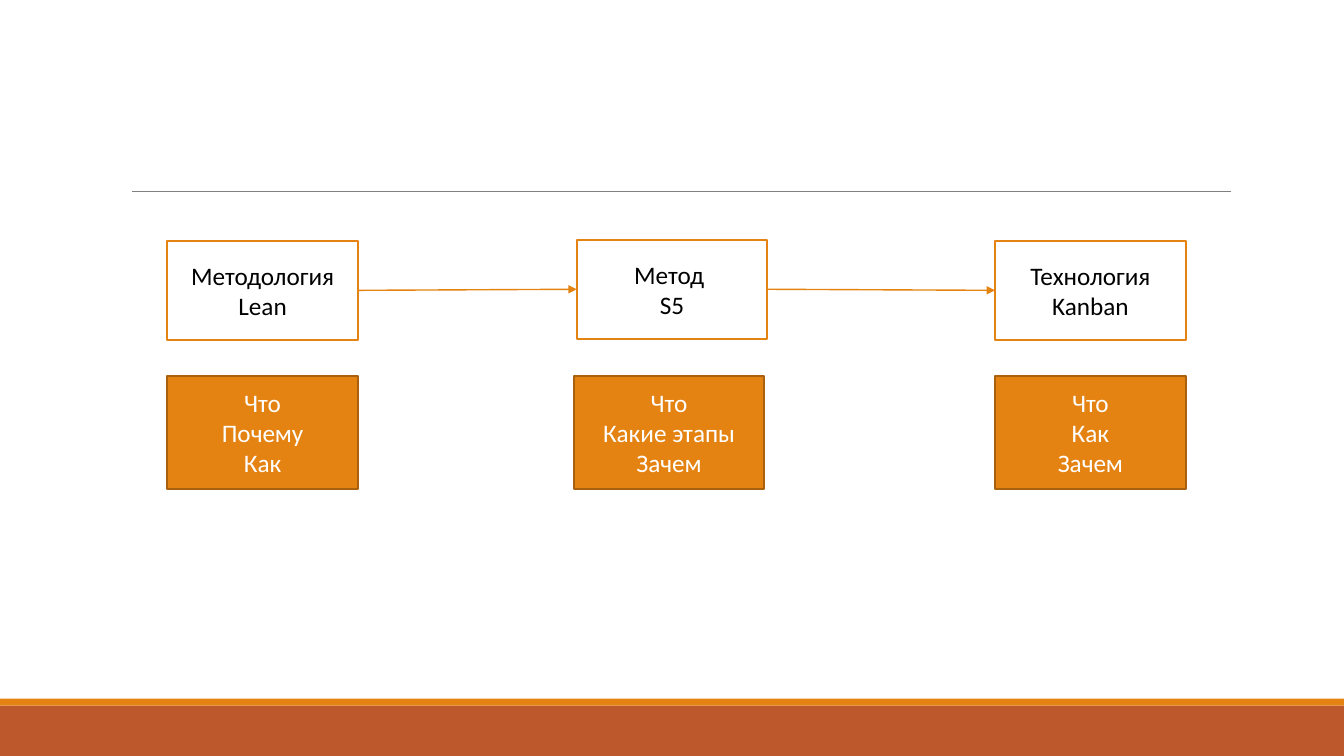
import dataclasses
import typing

import lxml.etree
import pptx
import pptx.dml.color
import pptx.enum.shapes
import pptx.enum.text
import pptx.oxml.ns
import pptx.util

WIDE = pptx.util.Inches(13.33)
HIGH = pptx.util.Inches(7.5)
ORANGE = "E48312"
RUST = "BD582C"
BROWN = "A9610D"
GRAY = "808080"
WHITE = "FFFFFF"
BLACK = "000000"
BOX_WIDTH = 14.18
HEAD_HIGH = 13.07
NOTE_TOP = 49.73
NOTE_HIGH = 14.93


@dataclasses.dataclass(frozen=True)
class Stage:
    left: float
    top: float
    head: tuple[str, ...]
    note_left: float
    notes: tuple[str, ...]


STAGES = [
    Stage(12.45, 31.87, ("Методология", "Lean"), 12.45, ("Что", "Почему", "Как")),
    Stage(42.91, 31.73, ("Метод ", "S5"), 42.69, ("Что", "Какие этапы", "Зачем")),
    Stage(74.04, 31.87, ("Технология", "Kanban"), 74.04, ("Что", "Как", "Зачем")),
]


def across(share: float) -> int:
    return round(WIDE * share / 100)


def down(share: float) -> int:
    return round(HIGH * share / 100)


def paint(fill: typing.Any, color: str) -> None:
    fill.solid()
    fill.fore_color.rgb = pptx.dml.color.RGBColor.from_string(color)


def write(shape: typing.Any, lines: tuple[str, ...], *, color: str,
          size: float = 18, font: str = "Calibri") -> None:
    frame = shape.text_frame
    frame.word_wrap = True
    frame.vertical_anchor = pptx.enum.text.MSO_ANCHOR.MIDDLE
    frame.text = "\n".join(lines)
    for para in frame.paragraphs:
        para.alignment = pptx.enum.text.PP_ALIGN.CENTER
        for run in para.runs:
            run.font.name = font
            run.font.size = pptx.util.Pt(size)
            paint(run.font.fill, color)


def block(slide: typing.Any, left: float, top: float, width: float, height: float,
          fill: str, edge: str | None = None) -> typing.Any:
    shape = slide.shapes.add_shape(
        pptx.enum.shapes.MSO_SHAPE.RECTANGLE,
        across(left), down(top), across(width), down(height))
    shape.shadow.inherit = False
    paint(shape.fill, fill)
    if edge:
        paint(shape.line.fill, edge)
        shape.line.width = pptx.util.Pt(1.25)
    else:
        shape.line.fill.background()
    return shape


def stroke(slide: typing.Any, start: tuple[float, float], end: tuple[float, float],
           color: str, width: float) -> typing.Any:
    line = slide.shapes.add_connector(
        pptx.enum.shapes.MSO_CONNECTOR.STRAIGHT,
        across(start[0]), down(start[1]), across(end[0]), down(end[1]))
    paint(line.line.fill, color)
    line.line.width = pptx.util.Pt(width)
    lxml.etree.SubElement(line._element.spPr, pptx.oxml.ns.qn("a:effectLst"))
    return line


def arrow(slide: typing.Any, source: typing.Any, target: typing.Any) -> None:
    line = stroke(slide, (0, 0), (0, 0), ORANGE, 1)
    line.begin_connect(source, 3)
    line.end_connect(target, 1)
    tail = lxml.etree.SubElement(
        line.line._get_or_add_ln(), pptx.oxml.ns.qn("a:tailEnd"))
    tail.set("type", "triangle")


def main() -> None:
    deck = pptx.Presentation()
    deck.slide_width, deck.slide_height = WIDE, HIGH
    slide = deck.slides.add_slide(deck.slide_layouts[6])
    paint(slide.background.fill, WHITE)

    block(slide, 0, 93.33, 100, 6.67, RUST)
    block(slide, 0, 92.4, 100, 0.93, ORANGE)
    stroke(slide, (9.83, 25.33), (91.6, 25.33), GRAY, 0.5)

    heads = []
    for stage in STAGES:
        note = block(slide, stage.note_left, NOTE_TOP, BOX_WIDTH, NOTE_HIGH,
                     ORANGE, BROWN)
        write(note, stage.notes, color=WHITE)
        head = block(slide, stage.left, stage.top, BOX_WIDTH, HEAD_HIGH,
                     WHITE, ORANGE)
        write(head, stage.head, color=BLACK)
        heads.append(head)
    for source, target in zip(heads, heads[1:]):
        arrow(slide, source, target)

    deck.save("out.pptx")


if __name__ == "__main__":
    main()
